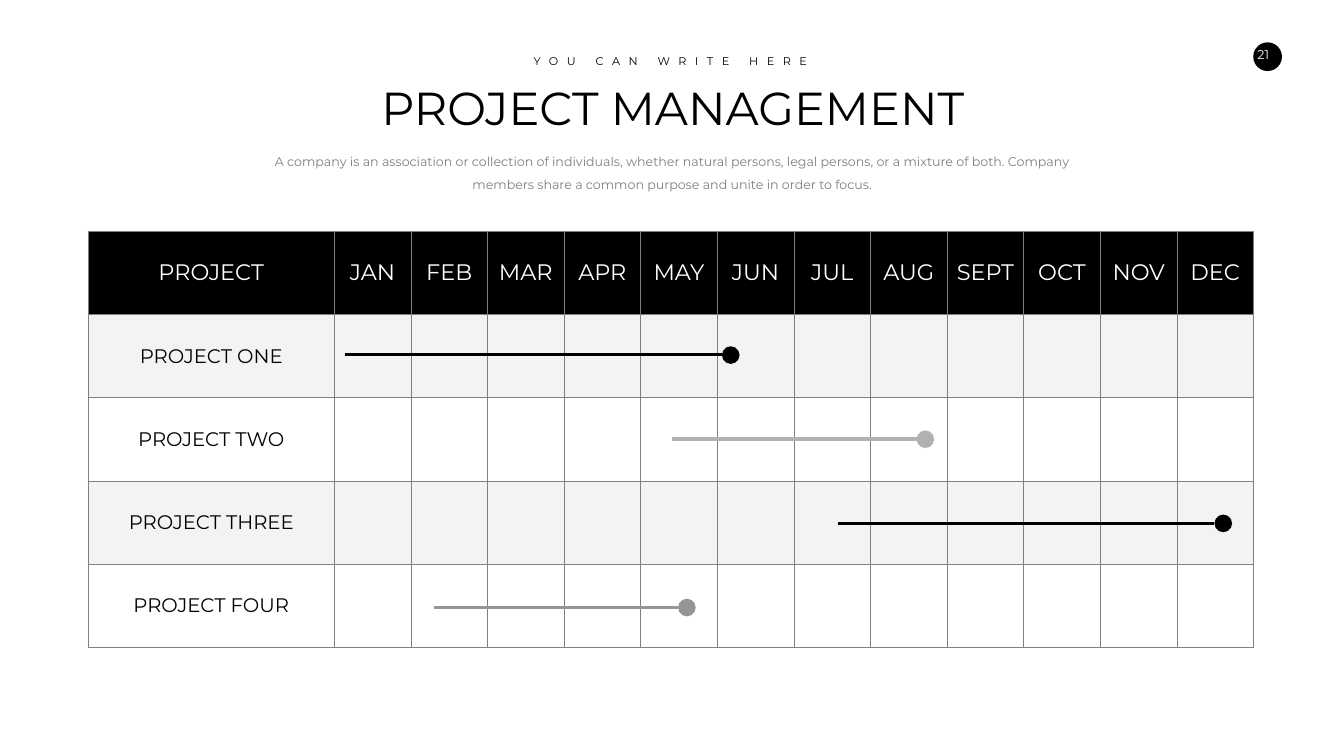
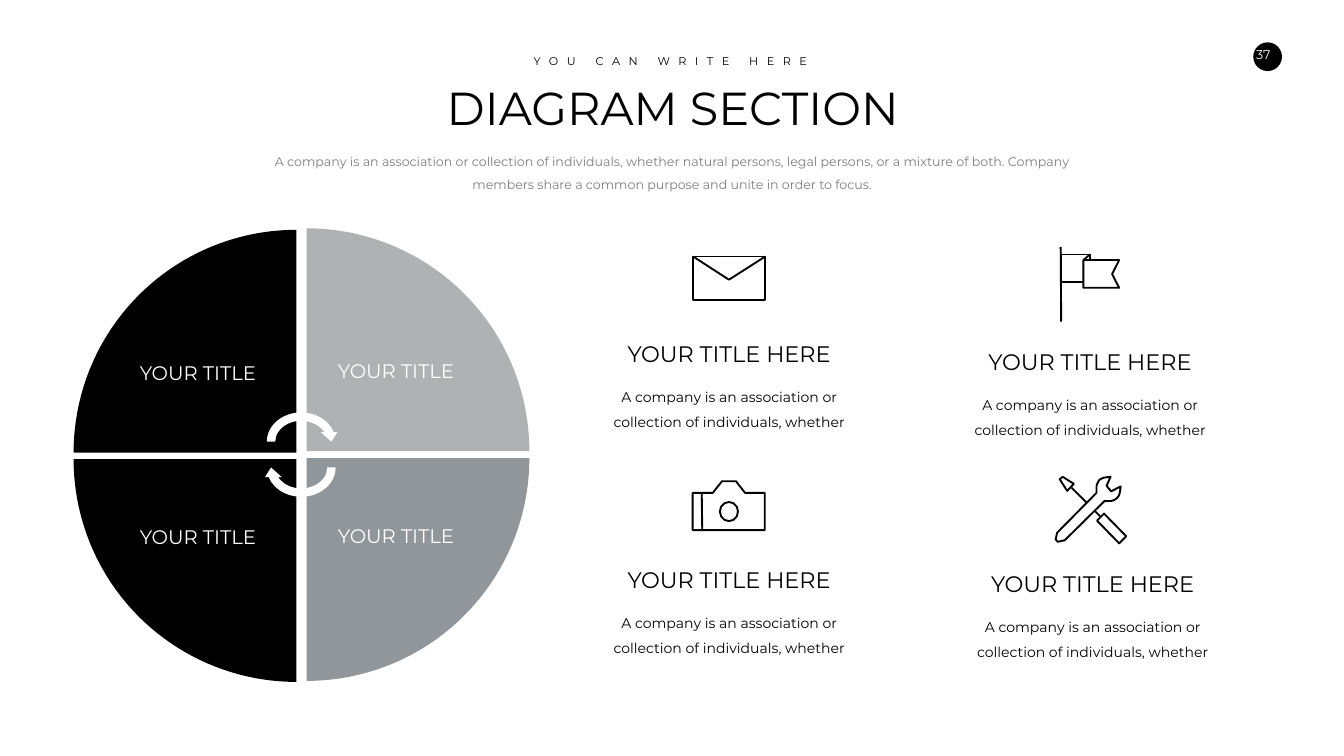
"""Build a project timeline slide and a four-part diagram slide."""
from lxml.etree import SubElement
from pptx import Presentation
from pptx.dml.color import RGBColor
from pptx.enum.shapes import MSO_CONNECTOR, MSO_SHAPE
from pptx.enum.text import MSO_ANCHOR, PP_ALIGN
from pptx.oxml.ns import qn
from pptx.util import Emu, Pt

PX = 9144
FONT = "Montserrat"
COLORS = {"black": "000000", "white": "FFFFFF", "gray": "7F7F7F",
          "silver": "B0B1B3", "slate": "91969B", "band": "F3F3F3"}
KICKER = "YOU CAN WRITE HERE"
INTRO = ("A company is an association or collection of individuals, whether natural persons, "
         "legal persons, or a mixture of both. Company members share a common purpose "
         "and unite in order to focus.")

HEADINGS = ["PROJECT", "JAN", "FEB", "MAR", "APR", "MAY", "JUN",
            "JUL", "AUG", "SEPT", "OCT", "NOV", "DEC"]
PROJECTS = [("PROJECT ONE", 685, 1432, "black"),
            ("PROJECT TWO", 1334, 1818, "silver"),
            ("PROJECT THREE", 1662, 2409, "black"),
            ("PROJECT FOUR", 861, 1345, "slate")]
TABLE_LEFT, TABLE_TOP, ROW_HEIGHT = 175, 459, 165
NAME_WIDTH, MONTH_WIDTH = 488, 152
FIRST_BAR, BAR_STEP, DOT = 704, 167, 35

WEDGE, LABEL = 442, 313
WEDGE_TITLE = "YOUR TITLE"
WEDGES = [(146, 456, 0, "black", 236, 585), (608, 453, 90, "silver", 629, 582),
          (146, 911, 270, "black", 236, 911), (608, 909, 180, "slate", 629, 909)]
CYCLE_ARROWS = [(810, 0), (861, 180)]

CARD_TITLE = "YOUR TITLE HERE"
CARD_TEXT = "A company is an association or collection of individuals, whether"
CARDS = [(1173, 669), (1889, 685), (1173, 1118), (1894, 1126)]
ICON_LINES = [(2104, 490, 2105, 638), (1392, 978, 1393, 1052),
              (2172, 1014, 2184, 1026), (2155, 997, 2124, 966)]
ICON_OUTLINES = {
    "flag front": [(2162, 505), (2149, 516), (2149, 571), (2220, 571),
                   (2206, 544), (2220, 516), (2149, 516)],
    "flag back": [(2149, 559), (2104, 559), (2104, 505), (2162, 505), (2162, 516)],
    "envelope": [(1518, 595), (1375, 595), (1375, 509), (1518, 509), (1518, 595)],
    "envelope flap": [(1375, 509), (1446, 555), (1518, 509)],
    "camera": [(1478, 978), (1460, 955), (1432, 955), (1414, 978), (1374, 978),
               (1374, 1052), (1517, 1052), (1517, 978), (1478, 978)],
    "screwdriver handle": [(2176, 1033), (2190, 1019), (2234, 1064),
                           (2220, 1078), (2176, 1033)],
    "screwdriver tip": [(2117, 974), (2130, 960), (2108, 946), (2102, 951), (2117, 974)],
    "wrench": [(2223, 965), (2204, 975), (2195, 964), (2203, 946),
               (2180, 946, 2175, 958, 2175, 969), (2175, 978), (2097, 1057),
               (2094, 1070), (2098, 1075), (2112, 1072), (2191, 994), (2200, 994),
               (2211, 994, 2223, 988, 2223, 965)],
}
CAMERA_LENS = (1428, 996, 36, 38)
ICON_STROKE = 2.7


def px(*lengths):
    return [Emu(length * PX) for length in lengths]


def rgb(name):
    return RGBColor.from_string(COLORS[name])


def format_paragraph(paragraph, size, color, spacing=None):
    paragraph.alignment = PP_ALIGN.CENTER
    if spacing:
        paragraph.line_spacing = spacing
    for run in paragraph.runs:
        run.font.name = FONT
        run.font.size = Pt(size)
        run.font.color.rgb = rgb(color)


def add_text(slide, box, text, size, color="black", spacing=None,
             insets=(10, 5, 10, 5), anchor=MSO_ANCHOR.TOP, wrap=True):
    text_frame = slide.shapes.add_textbox(*px(*box)).text_frame
    text_frame.word_wrap = wrap
    text_frame.vertical_anchor = anchor
    (text_frame.margin_left, text_frame.margin_top,
     text_frame.margin_right, text_frame.margin_bottom) = px(*insets)
    text_frame.text = text
    format_paragraph(text_frame.paragraphs[0], size, color, spacing)
    return text_frame


def add_filled(slide, kind, box, color, rotation=0):
    shape = slide.shapes.add_shape(kind, *px(*box))
    shape.shadow.inherit = False
    shape.fill.solid()
    shape.fill.fore_color.rgb = rgb(color)
    shape.line.fill.background()
    shape.rotation = rotation
    return shape


def add_line(slide, ends, color, width):
    connector = slide.shapes.add_connector(MSO_CONNECTOR.STRAIGHT, *px(*ends))
    connector.line.color.rgb = rgb(color)
    connector.line.width = Pt(width)
    SubElement(connector._element.spPr, qn("a:effectLst"))


def stroke_only(shape):
    shape.shadow.inherit = False
    shape.fill.background()
    shape.line.color.rgb = rgb("black")
    shape.line.width = Pt(ICON_STROKE)


def flatten(points, steps=8):
    """Turn six-number cubic curves into short straight segments."""
    flat = []
    for point in points:
        if len(point) == 2:
            flat.append(point)
            continue
        controls = [flat[-1], point[:2], point[2:4], point[4:]]
        for step in range(1, steps + 1):
            t = step / steps
            weights = ((1 - t) ** 3, 3 * t * (1 - t) ** 2, 3 * t * t * (1 - t), t ** 3)
            flat.append(tuple(round(sum(w * c[axis] for w, c in zip(weights, controls)))
                              for axis in (0, 1)))
    return flat


def add_outline(slide, points):
    start, *rest = flatten(points)
    builder = slide.shapes.build_freeform(*start, scale=PX)
    builder.add_line_segments(rest, close=False)
    stroke_only(builder.convert_to_shape())


def add_base_slide(presentation, title, number):
    slide = presentation.slides.add_slide(presentation.slide_layouts[6])
    add_filled(slide, MSO_SHAPE.OVAL, (2486, 84, 57, 57), "black")
    add_text(slide, (2470, 84, 86, 50), number, 18, "white",
             insets=(20, 10, 34, 10), wrap=False)
    add_text(slide, (673, 152, 1323, 121), title, 66)
    kicker = add_text(slide, (1041, 102, 578, 37), KICKER, 16, wrap=False)
    kicker.paragraphs[0].runs[0].font._element.set("spc", "1220")
    add_text(slide, (532, 286, 1603, 101), INTRO, 18, "gray", 1.5)
    return slide


def style_cell(cell, fill, size, color):
    properties = cell._tc.get_or_add_tcPr()
    for side in ("lnL", "lnR", "lnT", "lnB"):
        border = SubElement(properties, qn(f"a:{side}"), w=str(Pt(1)))
        solid = SubElement(border, qn("a:solidFill"))
        SubElement(solid, qn("a:srgbClr"), val=COLORS["gray"])
    cell.fill.solid()
    cell.fill.fore_color.rgb = rgb(fill)
    cell.vertical_anchor = MSO_ANCHOR.MIDDLE
    format_paragraph(cell.text_frame.paragraphs[0], size, color)


def add_schedule(slide):
    rows = [HEADINGS] + [[name] + [""] * 12 for name, *_ in PROJECTS]
    widths = [NAME_WIDTH] + [MONTH_WIDTH] * 12
    table = slide.shapes.add_table(
        len(rows), len(widths),
        *px(TABLE_LEFT, TABLE_TOP, sum(widths), ROW_HEIGHT * len(rows))).table
    for column, width in zip(table.columns, widths):
        column.width = Emu(width * PX)
    for row_index, texts in enumerate(rows):
        table.rows[row_index].height = Emu(ROW_HEIGHT * PX)
        if row_index == 0:
            style = ("black", 32, "white")
        else:
            style = ("band" if row_index % 2 else "white", 28, "black")
        for column_index, text in enumerate(texts):
            cell = table.cell(row_index, column_index)
            if text:
                cell.text = text
            style_cell(cell, *style)


def add_timeline_slide(presentation):
    slide = add_base_slide(presentation, "PROJECT MANAGEMENT", "21")
    add_schedule(slide)
    for index, (_, start, end, color) in enumerate(PROJECTS):
        y = FIRST_BAR + index * BAR_STEP
        add_filled(slide, MSO_SHAPE.OVAL, (end, y - DOT // 2, DOT, DOT), color)
        add_line(slide, (end, y, start, y), color, 4.5)


def add_diagram_slide(presentation):
    slide = add_base_slide(presentation, "DIAGRAM SECTION", "37")
    for left, top, rotation, color, label_left, label_top in WEDGES:
        add_filled(slide, MSO_SHAPE.PIE_WEDGE, (left, top, WEDGE, WEDGE), color, rotation)
        add_text(slide, (label_left, label_top, LABEL, LABEL), WEDGE_TITLE, 28, "white", 0.9,
                 insets=(20, 20, 20, 20), anchor=MSO_ANCHOR.MIDDLE)
    for top, rotation in CYCLE_ARROWS:
        add_filled(slide, MSO_SHAPE.CIRCULAR_ARROW, (521, top, 153, 133), "white", rotation)
    for points in ICON_OUTLINES.values():
        add_outline(slide, points)
    for ends in ICON_LINES:
        add_line(slide, ends, "black", ICON_STROKE)
    stroke_only(slide.shapes.add_shape(MSO_SHAPE.OVAL, *px(*CAMERA_LENS)))
    for left, top in CARDS:
        add_text(slide, (left + 11, top + 80, 525, 104), CARD_TEXT, 20, spacing=1.5)
        add_text(slide, (left, top, 547, 64), CARD_TITLE, 32)


def main():
    presentation = Presentation()
    presentation.slide_width, presentation.slide_height = px(2666, 1500)
    add_timeline_slide(presentation)
    add_diagram_slide(presentation)
    presentation.save("out.pptx")


if __name__ == "__main__":
    main()
